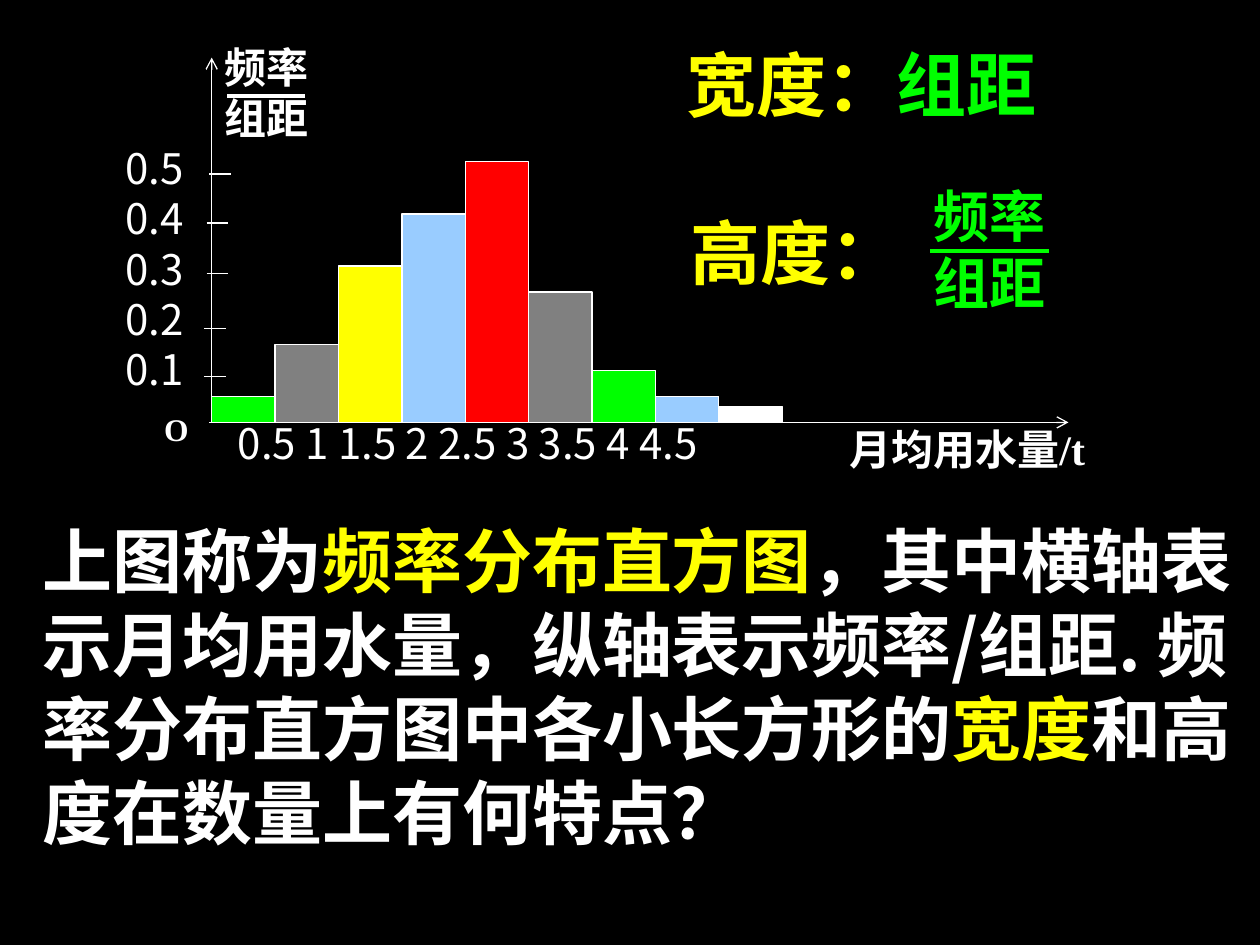
from lxml import etree
from pptx import Presentation
from pptx.dml.color import RGBColor
from pptx.enum import shapes, text
from pptx.oxml.ns import qn
from pptx.util import Inches, Pt

W, H = 10, 7.5
HUES = {"black": "000000", "white": "FFFFFF", "yellow": "FFFF00", "green": "00FF00",
        "blue": "99CCFF", "red": "FF0000", "gray": "808080"}
CJK, SANS, SERIF = "Noto Sans CJK SC", "Arial", "Times New Roman"


def hue(name):
    return RGBColor.from_string(HUES[name])


def part(box, x, y, w=0, h=0):
    """Turn shares of a box into a box on the slide."""
    left, top, wide, high = box
    return left + x * wide, top + y * high, w * wide, h * high


def style(font, size, face, color, bold):
    font.size, font.name, font.bold = Pt(size), face, bold
    font.color.rgb = hue(color)


def write(slide, box, rows, size, face, bold=True, just=True):
    """Each row is a list of (words, colour) or (words, colour, face) runs."""
    frame = slide.shapes.add_textbox(*map(Inches, box)).text_frame
    frame.word_wrap = True
    for i, row in enumerate(rows):
        para = frame.paragraphs[0] if i == 0 else frame.add_paragraph()
        para.alignment = text.PP_ALIGN.JUSTIFY if just else text.PP_ALIGN.LEFT
        style(para.font, size, face, row[0][1], bold)
        for words, color, *other in row:
            run = para.add_run()
            run.text = words
            style(run.font, size, other[0] if other else face, color, bold)
            east = etree.SubElement(run.font._element, qn("a:ea"))
            east.set("typeface", CJK)


def rule(slide, start, end, color="white", width=0.75, arrow=False):
    line = slide.shapes.add_connector(
        shapes.MSO_CONNECTOR.STRAIGHT, *map(Inches, (*start[:2], *end[:2])))
    line.line.color.rgb = hue(color)
    line.line.width = Pt(width)
    if arrow:
        etree.SubElement(line.line._get_or_add_ln(), qn("a:tailEnd")).set("type", "arrow")
    etree.SubElement(line._element.spPr, qn("a:effectLst"))


def ratio(slide, box, size, color, bar):
    """Frequency over class width; bar is (left, right, height) in shares."""
    write(slide, box, [[("频率", color)], [("组距", color)]], size, SERIF)
    left, right, y = bar
    rule(slide, part(box, left, y), part(box, right, y), color, 2.25)


def chart(slide, box):
    """Histogram in a box whose lower left corner is the origin."""
    left, top, wide, high = box
    base = top + high

    # Axis names and labels
    write(slide, part(box, 0.73, 0.985, 0.34, 0.21),
          [[("月均用水量/t", "white")]], 24, SERIF)
    ratio(slide, part(box, 0, -0.06, 0.15, 0.36), 24, "white", (0.12, 0.73, 0.46))
    write(slide, part(box, -0.115, 0.215, 0.15, 0.78),
          [[(f"0.{n}", "white")] for n in range(5, 0, -1)], 24, CJK, False)
    write(slide, part(box, 0.016, 0.97, 0.8, 0.21),
          [[("0.5 1 1.5 2 2.5 3 3.5 4 4.5", "white")]], 24, CJK, False)
    write(slide, part(box, -0.07, 0.95, 0.074, 0.21), [[("O", "white")]], 18, SERIF)

    # Axes and ticks
    rule(slide, (left - 0.02, base), (left + wide, base), arrow=True)
    rule(slide, (left, base), (left, top), arrow=True)
    ticks = [(-0.02, 1.38), (-0.04, 1.77), (-0.04, 2.17), (-0.06, 2.61), (-0.06, 2.99)]
    for x, y in ticks:
        rule(slide, (left + x, y), (left + x + 0.17, y))

    # Bars: even columns, heights in rows of the grid
    col, row = wide * 0.074, high / 28
    bars = [(2, "green"), (6, "gray"), (12, "yellow"), (16, "blue"), (20, "red"),
            (10, "gray"), (4, "green"), (2, "blue"), (1.2, "white")]
    for i, (n, color) in enumerate(bars):
        spot = (left + i * col, base - n * row, col, n * row)
        bar = slide.shapes.add_shape(shapes.MSO_SHAPE.RECTANGLE, *map(Inches, spot))
        bar.shadow.inherit = False
        bar.fill.solid()
        bar.fill.fore_color.rgb = hue(color)
        bar.line.color.rgb = hue("white")
        bar.line.width = Pt(0.75)


def notes(slide, box):
    """What the width and height of a bar mean."""
    write(slide, part(box, 0, 0, 0.96, 0.36),
          [[("宽度：", "yellow"), ("组距", "green")]], 40, SANS, just=False)
    write(slide, part(box, 0.01, 0.625, 0.54, 0.36),
          [[("高度：", "yellow")]], 40, SANS, just=False)
    ratio(slide, part(box, 0.557, 0.52, 0.445, 0.48), 32, "green", (0.045, 0.65, 0.59))


def body(slide, box):
    """Closing question."""
    write(slide, box, [[
        ("上图称为", "white"), ("频率分布直方图", "yellow"),
        ("，其中横轴表示月均用水量，纵轴表示频率/组距. 频率分布直方图中各小长方形的", "white"),
        ("宽度", "yellow", SANS), ("和高度在数量上有何特点？", "white")]],
        40, CJK, just=False)


def main():
    deck = Presentation()
    deck.slide_width, deck.slide_height = Inches(W), Inches(H)
    slide = deck.slides.add_slide(deck.slide_layouts[6])
    slide.background.fill.solid()
    slide.background.fill.fore_color.rgb = hue("black")
    page = (0, 0, W, H)
    body(slide, part(page, 0.024, 0.541, 0.967, 0.37))
    chart(slide, part(page, 0.168, 0.061, 0.68, 0.386))
    notes(slide, part(page, 0.535, 0.037, 0.352, 0.285))
    deck.save("out.pptx")


if __name__ == "__main__":
    main()
